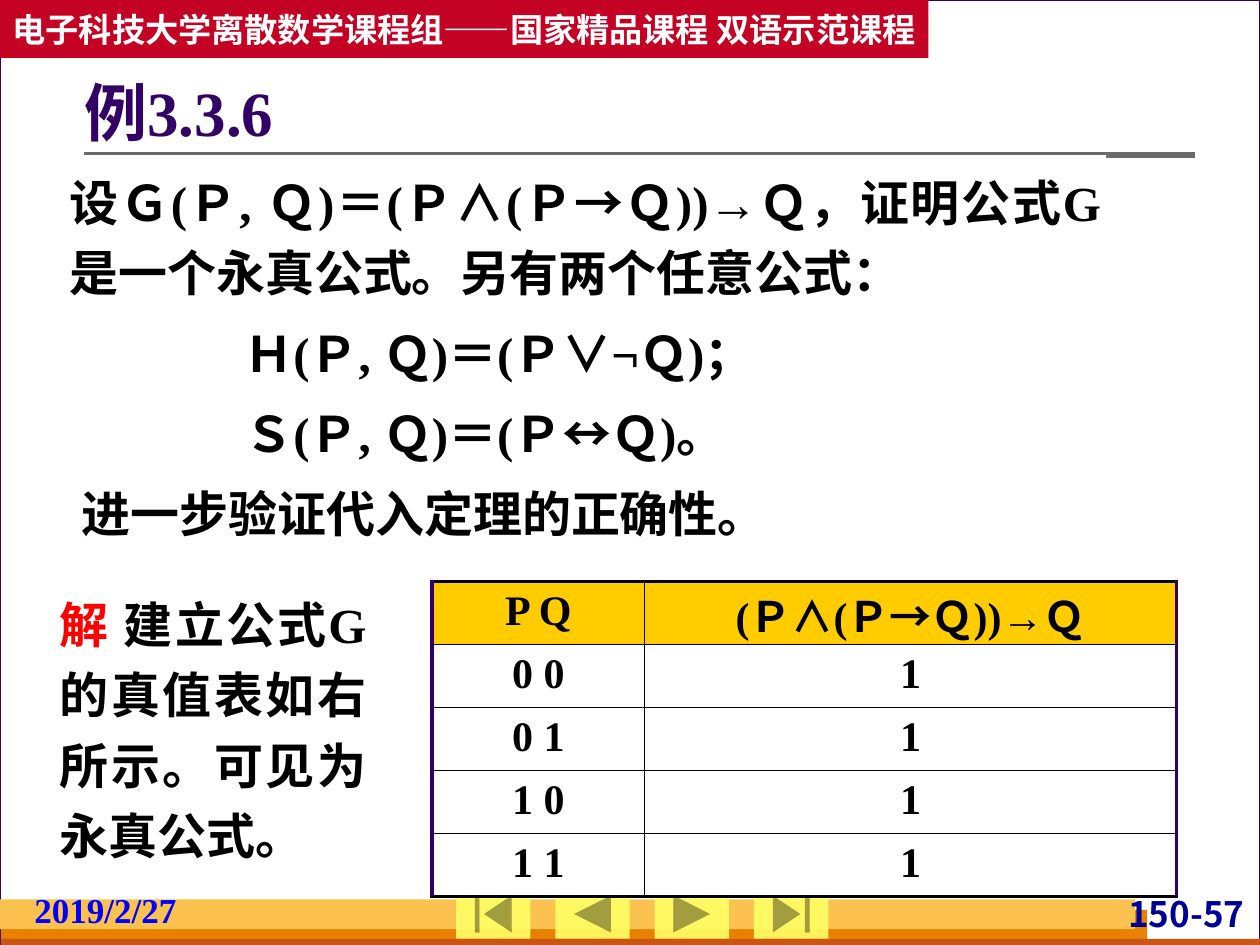
"""Build the slide for example 3.3.6: a tautology proof with its truth table."""
import pptx
import pptx.dml.color
import pptx.enum.shapes
import pptx.enum.text
import pptx.oxml
import pptx.oxml.ns
import pptx.util
from dataclasses import dataclass

Pt = pptx.util.Pt
SHAPE = pptx.enum.shapes.MSO_SHAPE
ALIGN = pptx.enum.text.PP_ALIGN
ANCHOR = pptx.enum.text.MSO_ANCHOR


@dataclass(frozen=True)
class Theme:
    serif: str = "Times New Roman"
    sans: str = "Noto Sans CJK SC"
    title: int = 36
    body: int = 28
    cell: int = 24
    footer: int = 20
    banner: int = 19
    white: str = "FFFFFF"
    black: str = "000000"
    purple: str = "330066"
    crimson: str = "C30224"
    red: str = "FF0000"
    blue: str = "0000FF"
    navy: str = "000099"
    gray: str = "6B6B6B"
    gold: str = "FFCC00"
    yellow: str = "FFFF66"
    backdrop: str = "D8DADA"


THEME = Theme()

BANNER = "电子科技大学离散数学课程组——国家精品课程 双语示范课程"
DATE = "2019/2/27"
PAGE = "150-57"
TITLE = "例3.3.6"
STATEMENT = [
    ("设Ｇ(Ｐ, Ｑ)＝(Ｐ∧(Ｐ→Ｑ))→Ｑ，证明公式G是一个永真公式。另有两个任意公式：", 0),
    ("Ｈ(Ｐ, Ｑ)＝(Ｐ∨¬Ｑ)；", 100),
    ("Ｓ(Ｐ, Ｑ)＝(Ｐ↔Ｑ)。", 100),
    ("进一步验证代入定理的正确性。", 7),
]
SOLUTION = [("解", THEME.red), (" 建立公式G的真值表如右所示。可见为永真公式。", THEME.black)]
TRUTH_TABLE = [
    ("P Q", "(Ｐ∧(Ｐ→Ｑ))→Ｑ"),
    ("0 0", "1"),
    ("0 1", "1"),
    ("1 0", "1"),
    ("1 1", "1"),
]
COLUMNS = (121.6, 303.9)
ROW_HEIGHT = 36
BANDS = [
    ((0.5, 520, 655, 20), "E88000"),
    ((0.5, 536.5, 719.5, 5.5), "C95616"),
    ((0, 514, 648.5, 17), "FCC24F"),
]
BUTTONS = [
    SHAPE.ACTION_BUTTON_BEGINNING,
    SHAPE.ACTION_BUTTON_BACK_OR_PREVIOUS,
    SHAPE.ACTION_BUTTON_FORWARD_OR_NEXT,
    SHAPE.ACTION_BUTTON_END,
]


def rgb(value):
    return pptx.dml.color.RGBColor.from_string(value)


def child(parent, tag, **attributes):
    element = parent.makeelement(pptx.oxml.ns.qn(tag), attributes)
    parent.append(element)
    return element


def place(shape, box):
    shape.left, shape.top, shape.width, shape.height = map(Pt, box)


def add_block(slide, box, fill, preset=SHAPE.RECTANGLE):
    block = slide.shapes.add_shape(preset, *map(Pt, box))
    block.shadow.inherit = False
    block.fill.solid()
    block.fill.fore_color.rgb = rgb(fill)
    block.line.fill.background()
    return block


def set_frame(frame, margins, anchor=ANCHOR.TOP, wrap=True):
    frame.auto_size = pptx.enum.text.MSO_AUTO_SIZE.NONE
    frame.word_wrap = wrap
    frame.vertical_anchor = anchor
    (frame.margin_left, frame.margin_top,
     frame.margin_right, frame.margin_bottom) = map(Pt, margins)


def style_run(run, size, color, font=THEME.serif):
    run.font.size = Pt(size)
    run.font.bold = True
    run.font.color.rgb = rgb(color)
    run.font.name = font
    child(run.font._element, "a:ea", typeface=THEME.sans)


def style_paragraph(paragraph, size, color, font=THEME.serif, align=ALIGN.LEFT):
    paragraph.alignment = align
    for run in paragraph.runs:
        style_run(run, size, color, font)


def add_label(slide, box, text, color, font, align):
    label = slide.shapes.add_textbox(*map(Pt, box))
    set_frame(label.text_frame, (3, 0, 3, 0))
    label.text_frame.text = text
    style_paragraph(label.text_frame.paragraphs[0], THEME.footer, color, font, align)


def add_master_parts(slide):
    page = add_block(slide, (0, 0, 720, 540), THEME.white)
    page.line.color.rgb = rgb(THEME.purple)
    page.line.width = Pt(0.75)
    for box, color in BANDS:
        add_block(slide, box, color)
    add_label(slide, (626.4, 509.8, 87.8, 23.8), PAGE, THEME.navy, THEME.sans, ALIGN.RIGHT)

    rule = slide.shapes.add_connector(
        pptx.enum.shapes.MSO_CONNECTOR.STRAIGHT, Pt(48), Pt(88.5), Pt(683), Pt(88.5))
    rule.line.color.rgb = rgb(THEME.gray)
    rule.line.width = Pt(3)
    child(rule._element.spPr, "a:effectLst")

    for index, preset in enumerate(BUTTONS):
        button = add_block(slide, (260.6 + 56.75 * index, 508.3, 42.5, 28), THEME.yellow, preset)
        tint = button.fill._xPr.find(".//" + pptx.oxml.ns.qn("a:srgbClr"))
        child(tint, "a:alpha", val="90000")

    banner = add_block(slide, (0, 0, 530.6, 33.1), THEME.crimson)
    set_frame(banner.text_frame, (3, 3.6, 3, 3.6), ANCHOR.MIDDLE, wrap=False)
    banner.text_frame.text = BANNER
    style_paragraph(banner.text_frame.paragraphs[0], THEME.banner, THEME.white,
                    THEME.sans, ALIGN.CENTER)


def fill_title(slide, title):
    slide.shapes._spTree.append(title._element)
    place(title, (48.2, 43.2, 475.9, 46))
    set_frame(title.text_frame, (0, 3.6, 7.2, 3.6), ANCHOR.MIDDLE)
    title.text_frame.text = TITLE
    heading = title.text_frame.paragraphs[0]
    heading.line_spacing = 0.9
    style_paragraph(heading, THEME.title, THEME.purple)


def fill_statement(slide, statement):
    slide.shapes._spTree.append(statement._element)
    place(statement, (36.7, 88.6, 595.4, 227.5))
    statement.fill.solid()
    statement.fill.fore_color.rgb = rgb(THEME.white)
    frame = statement.text_frame
    set_frame(frame, (3, 3, 3, 3))
    frame.text = "\n".join(text for text, _ in STATEMENT)
    for index, (paragraph, (_, indent)) in enumerate(zip(frame.paragraphs, STATEMENT)):
        paragraph.line_spacing = 1.2
        paragraph.space_before = Pt(5.6 if index else 0)
        properties = paragraph._p.get_or_add_pPr()
        properties.set("marL", str(Pt(indent)))
        properties.set("indent", "0")
        child(properties, "a:buNone")
        style_paragraph(paragraph, THEME.body, THEME.black, align=ALIGN.JUSTIFY)


def add_solution(slide):
    solution = add_block(slide, (31, 329.8, 181.4, 167), THEME.white)
    set_frame(solution.text_frame, (3, 3, 3, 3))
    paragraph = solution.text_frame.paragraphs[0]
    paragraph.alignment = ALIGN.JUSTIFY
    paragraph.line_spacing = 1.2
    for text, color in SOLUTION:
        run = paragraph.add_run()
        run.text = text
        style_run(run, THEME.body, color)


def set_borders(cell, edges):
    properties = cell._tc.get_or_add_tcPr()
    for position, (side, (color, width)) in enumerate(edges.items()):
        border = properties.makeelement(pptx.oxml.ns.qn("a:ln" + side), {"w": str(Pt(width))})
        child(child(border, "a:solidFill"), "a:srgbClr", val=color)
        properties.insert(position, border)


def add_truth_table(slide):
    rows, columns = len(TRUTH_TABLE), len(COLUMNS)
    table = slide.shapes.add_table(rows, columns, Pt(246.8), Pt(332.4),
                                   Pt(sum(COLUMNS)), Pt(ROW_HEIGHT * rows)).table
    for column, width in zip(table.columns, COLUMNS):
        column.width = Pt(width)
    thin, thick, side = (THEME.black, 1), (THEME.black, 2.25), (THEME.purple, 2.25)
    for r, values in enumerate(TRUTH_TABLE):
        table.rows[r].height = Pt(ROW_HEIGHT)
        for c, value in enumerate(values):
            cell = table.cell(r, c)
            cell.text = value
            cell.margin_top, cell.margin_bottom = Pt(1 if r == 0 and c else 3.6), Pt(0)
            cell.fill.solid()
            cell.fill.fore_color.rgb = rgb(THEME.white if r else THEME.gold)
            style_paragraph(cell.text_frame.paragraphs[0], THEME.cell, THEME.black,
                            align=ALIGN.CENTER)
            set_borders(cell, {"L": thin if c else side,
                               "R": side if c == columns - 1 else thin,
                               "T": thin if r else thick,
                               "B": thick if r == rows - 1 else thin})


def main():
    deck = pptx.Presentation()
    deck.slide_width, deck.slide_height = Pt(720), Pt(540)
    slide = deck.slides.add_slide(deck.slide_layouts[1])
    slide.background.fill.solid()
    slide.background.fill.fore_color.rgb = rgb(THEME.backdrop)
    title, statement = slide.placeholders
    add_master_parts(slide)
    add_label(slide, (16.6, 507.6, 118.8, 23.8), DATE, THEME.blue, THEME.serif, ALIGN.LEFT)
    fill_title(slide, title)
    fill_statement(slide, statement)
    add_solution(slide)
    add_truth_table(slide)
    deck.save("out.pptx")


if __name__ == "__main__":
    main()
